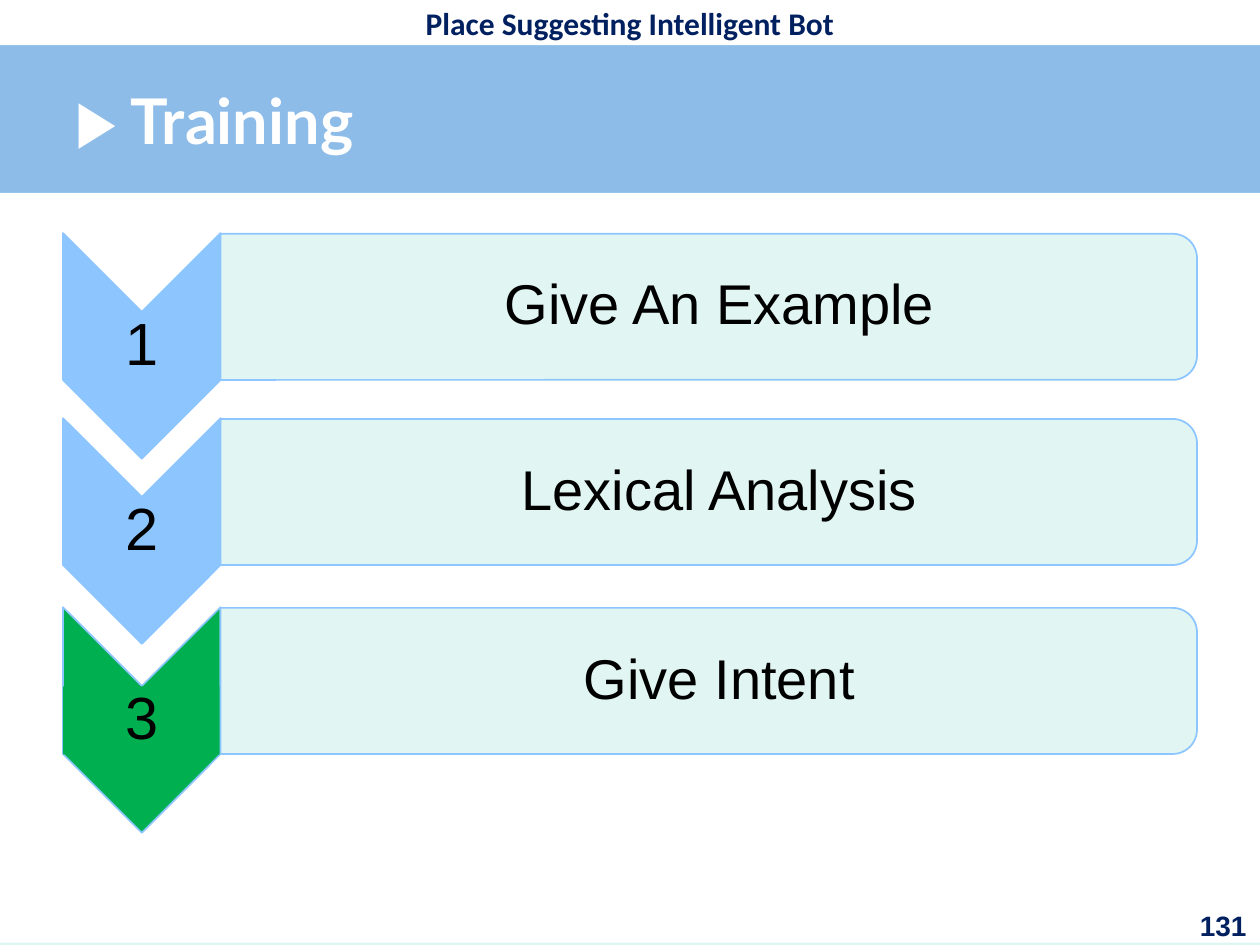
from lxml import etree
from pptx import Presentation
from pptx.dml.color import RGBColor
from pptx.enum.shapes import MSO_SHAPE as Shape
from pptx.enum.text import MSO_ANCHOR as Anchor, PP_ALIGN as Align
from pptx.oxml.ns import qn
from pptx.util import Pt

NAVY = RGBColor(0x00, 0x20, 0x60)
BLUE = RGBColor(0x7F, 0xB3, 0xE7)
SKY = RGBColor(0x8D, 0xC6, 0xFF)
MINT = RGBColor(0xDE, 0xF6, 0xF1)
GREEN = RGBColor(0x00, 0xB0, 0x50)
WHITE = RGBColor(0xFF, 0xFF, 0xFF)
BLACK = RGBColor(0x00, 0x00, 0x00)

STEPS = [
    (133.2, "1", "Give An Example", SKY),
    (239, "2", "Lexical Analysis", SKY),
    (347, "3", "Give Intent", GREEN),
]


def add_panel(page, kind, left, top, width, height, fill, line=None, opacity=100):
    """Add a filled preset shape, with an optional outline and opacity."""
    panel = page.shapes.add_shape(kind, Pt(left), Pt(top), Pt(width), Pt(height))
    panel.shadow.inherit = False
    panel.fill.solid()
    panel.fill.fore_color.rgb = fill
    if opacity < 100:
        color = panel.fill._xPr.find(qn("a:solidFill"))[0]
        etree.SubElement(color, qn("a:alpha"), val=str(opacity * 1000))
    if line is None:
        panel.line.fill.background()
    else:
        panel.line.color.rgb = line
        panel.line.width = Pt(1)
    return panel


def add_turned_panel(page, kind, left, top, width, height, fill, opacity=100):
    """Add a shape turned a quarter clockwise that fills the given box."""
    shift = (width - height) / 2
    panel = add_panel(page, kind, left + shift, top - shift, height, width,
                      fill, SKY, opacity)
    panel.rotation = 90
    return panel


def add_text(page, text, left, top, width, height, *, size, color, font="Arial",
             bold=False, align=Align.CENTER, anchor=Anchor.MIDDLE,
             insets=(7.2, 3.6, 7.2, 3.6), spacing=None):
    """Add a text box holding one formatted paragraph."""
    box = page.shapes.add_textbox(Pt(left), Pt(top), Pt(width), Pt(height))
    frame = box.text_frame
    frame.word_wrap = True
    frame.vertical_anchor = anchor
    (frame.margin_left, frame.margin_top,
     frame.margin_right, frame.margin_bottom) = map(Pt, insets)
    para = frame.paragraphs[0]
    para.alignment = align
    if spacing:
        para.line_spacing = spacing
    span = para.add_run()
    span.text = text
    span.font.name = font
    span.font.size = Pt(size)
    span.font.bold = bold
    span.font.color.rgb = color
    return box


def add_header(page, left, top, width):
    """Add the colour bands, the running header and the slide title."""
    add_panel(page, Shape.RECTANGLE, left, top, width, 111.6, BLUE, opacity=85)
    add_panel(page, Shape.RECTANGLE, left, top, width, 25.9, WHITE)
    add_panel(page, Shape.RECTANGLE, left, top + 110.2, width, 428.4, WHITE)
    add_text(page, "Place Suggesting Intelligent Bot", left + 36, top, width - 72, 25.9,
             size=18, color=NAVY, font="Calibri", bold=True)
    add_text(page, "▶ Training", left + 36, top + 25.2, width - 72, 86.4,
             size=36, color=WHITE, font="Lato", bold=True, align=Align.LEFT)


def add_step(page, left, top, width, number, label, fill):
    """Add a numbered chevron with its label bar to the right."""
    chevron_width, chevron_height, bar_height = 90, 128.9, 83.5
    bar_left, bar_width = left + chevron_width, width - chevron_width
    add_turned_panel(page, Shape.CHEVRON, left, top, chevron_width, chevron_height, fill)
    number_box = add_text(page, number, left, top + 45.3, chevron_width, 38.9, size=34,
                          color=BLACK, insets=(1.4,) * 4, spacing=0.9)
    if fill == GREEN:
        number_box.fill.solid()
        number_box.fill.fore_color.rgb = fill
    add_turned_panel(page, Shape.ROUND_2_SAME_RECTANGLE, bar_left, top + 0.4,
                     bar_width, bar_height, MINT, opacity=90)
    add_text(page, label, bar_left, top + 4.3, bar_width - 4.3, 75.6, size=32,
             color=BLACK, insets=(18, 1.4, 1.4, 1.4), spacing=0.9)


def main():
    """Build the slide and save the deck."""
    deck = Presentation()
    deck.slide_width, deck.slide_height = Pt(720), Pt(540)
    page = deck.slides.add_slide(deck.slide_layouts[6])
    page.background.fill.solid()
    page.background.fill.fore_color.rgb = MINT
    add_header(page, 0, 0, 720)
    add_text(page, "131", 675.4, 515.5, 43.9, 24.5, size=16, color=NAVY, bold=True,
             align=Align.RIGHT, anchor=Anchor.TOP)
    for top, number, label, fill in STEPS:
        add_step(page, 36, top, 648, number, label, fill)
    deck.save("out.pptx")


if __name__ == "__main__":
    main()
